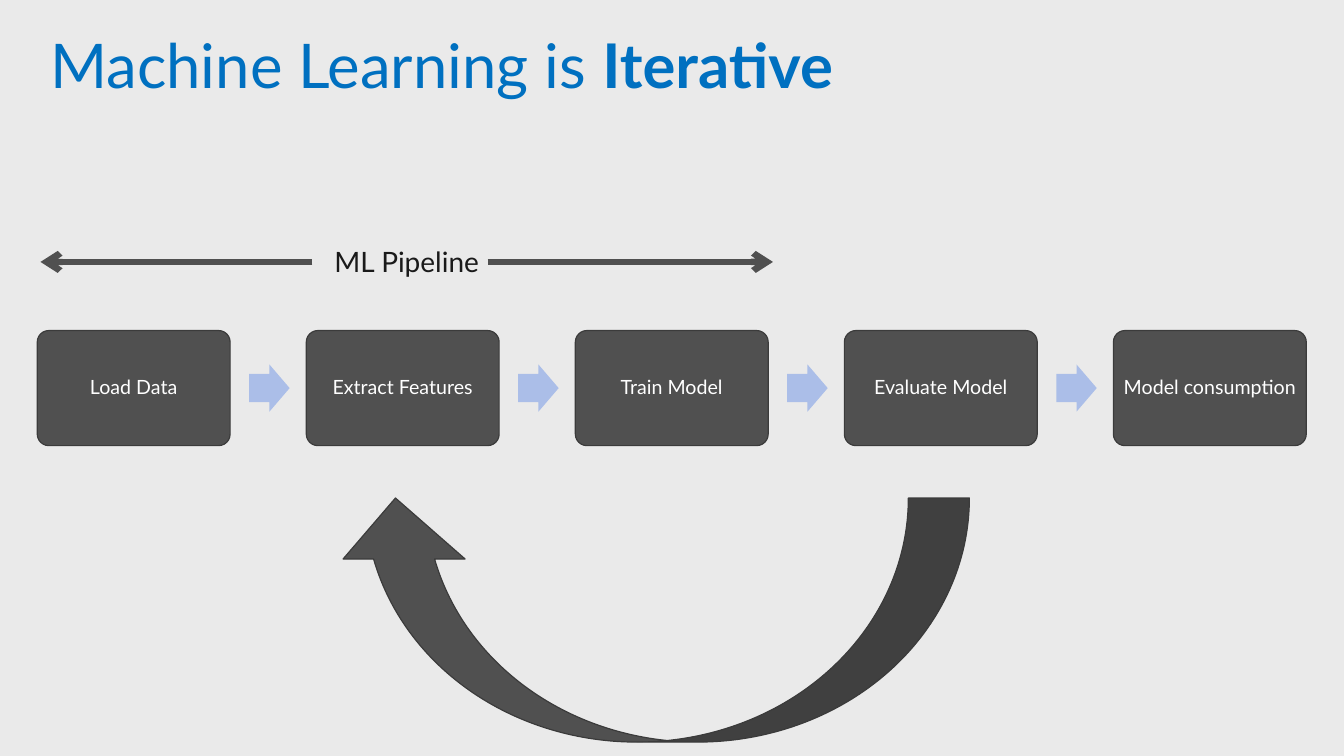
from pptx import Presentation
from pptx.dml.color import RGBColor
from pptx.enum import shapes, text
from pptx.oxml.ns import qn
from pptx.util import Cm, Pt
from lxml import etree

TITLE = [("Machine Learning is ", False), ("Iterative", True)]
STEPS = ["Load Data", "Extract Features", "Train Model",
         "Evaluate Model", "Model consumption"]
SPAN = "ML Pipeline"

THEME = {
    "font": "Lato", "back": "EAEAEA", "title": "0070C0", "box": "505050",
    "edge": "3B3B3B", "next": "ABBEE8", "light": "FFFFFF", "dark": "1A1A1A",
    "big": 44, "mid": 20, "small": 14, "thin": 0.85, "thick": 4.5,
}

LEFT, TOP, WIDE, HIGH, STEP = 0.94, 8.33, 4.86, 2.9, 6.78
NEXT_W, NEXT_H = 1.02, 1.19
GAP = (STEP - WIDE) / 4
SPAN_Y = 6.6
SPAN_ENDS = [(7.87, 1.02), (12.29, 19.48)]

KIND = shapes.MSO_SHAPE
MID = text.MSO_ANCHOR.MIDDLE
CENTER = text.PP_ALIGN.CENTER


def tint(name):
    return RGBColor.from_string(THEME[name])


def assign(item, values):
    for key, value in values.items():
        setattr(item, key, value)


def write(shape, runs, size, color, pad=None, para=None, anchor=None):
    frame = shape.text_frame
    frame.word_wrap = True
    if anchor is not None:
        frame.vertical_anchor = anchor
    if pad is not None:
        assign(frame, {"margin_" + side: Cm(pad)
                       for side in ("left", "right", "top", "bottom")})
    line = frame.paragraphs[0]
    assign(line, para or {})
    for words, bold in runs:
        run = line.add_run()
        run.text = words
        assign(run.font, {"name": THEME["font"], "size": Pt(THEME[size]),
                          "bold": bold})
        run.font.color.rgb = tint(color)


def draw(slide, kind, area, fill, edge=None, adjust=()):
    shape = slide.shapes.add_shape(kind, *map(Cm, area))
    shape.shadow.inherit = False
    shape.fill.solid()
    shape.fill.fore_color.rgb = tint(fill)
    if edge:
        shape.line.color.rgb = tint(edge)
        shape.line.width = Pt(THEME["thin"])
    else:
        shape.line.fill.background()
    for spot, value in enumerate(adjust):
        shape.adjustments[spot] = value
    return shape


def label(slide, area, *args, **form):
    write(slide.shapes.add_textbox(*map(Cm, area)), *args, **form)


def arrow(slide, start, end):
    link = slide.shapes.add_connector(
        shapes.MSO_CONNECTOR.STRAIGHT,
        Cm(start), Cm(SPAN_Y), Cm(end), Cm(SPAN_Y))
    link.line.color.rgb = tint("box")
    link.line.width = Pt(THEME["thick"])
    etree.SubElement(link.line._get_or_add_ln(), qn("a:tailEnd"), type="arrow")
    etree.SubElement(link._element.spPr, qn("a:effectLst"))


def main():
    deck = Presentation()
    assign(deck, {"slide_width": Cm(33.87), "slide_height": Cm(19.05)})
    slide = deck.slides.add_slide(deck.slide_layouts[6])
    slide.background.fill.solid()
    slide.background.fill.fore_color.rgb = tint("back")

    label(slide, (1.02, 0.58, 29.21, 2.29), TITLE, "big", "title",
          para={"line_spacing": 0.9}, anchor=MID)

    for spot, name in enumerate(STEPS):
        x = LEFT + spot * STEP
        box = draw(slide, KIND.ROUNDED_RECTANGLE, (x, TOP, WIDE, HIGH),
                   "box", "edge", (0.1,))
        write(box, [(name, False)], "small", "light", pad=0.15,
              para={"alignment": CENTER, "line_spacing": 0.9}, anchor=MID)
        if spot < len(STEPS) - 1:
            y = TOP + (HIGH - NEXT_H) / 2
            draw(slide, KIND.RIGHT_ARROW, (x + WIDE + GAP, y, NEXT_W, NEXT_H),
                 "next", adjust=(0.6, 0.5))

    loop = draw(slide, KIND.CURVED_UP_ARROW, (8.43, 12.55, 16, 6.15),
                "box", "edge")
    loop._element.spPr.find(qn("a:xfrm")).set("flipH", "1")

    label(slide, (8.43, 6.17, 3.71, 0.86), [(SPAN, False)], "mid", "dark",
          pad=0)
    for start, end in SPAN_ENDS:
        arrow(slide, start, end)

    deck.save("out.pptx")


if __name__ == "__main__":
    main()
